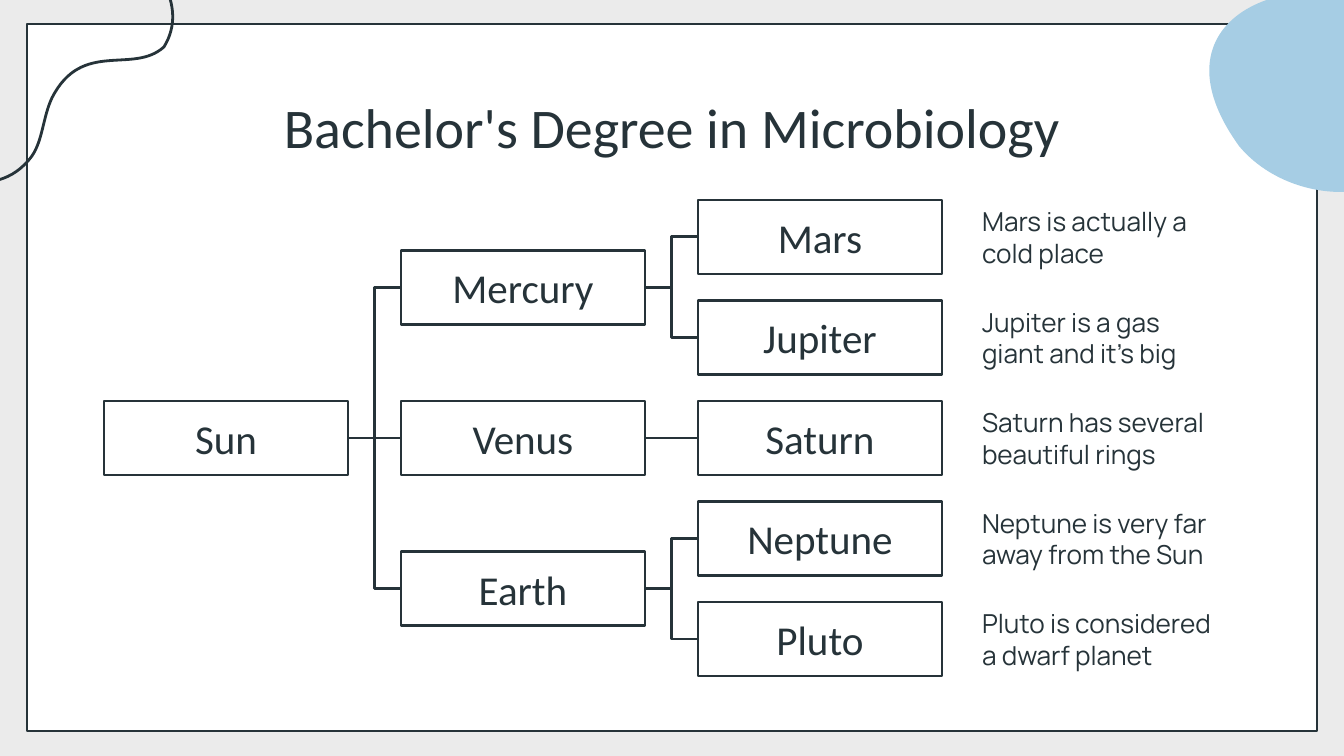
from dataclasses import dataclass

from lxml.etree import SubElement
from pptx import Presentation
from pptx.dml.color import RGBColor
from pptx.enum.shapes import MSO_CONNECTOR, MSO_SHAPE
from pptx.enum.text import MSO_ANCHOR, PP_ALIGN
from pptx.oxml.ns import qn
from pptx.util import Pt


@dataclass(frozen=True)
class Theme:
    ink: RGBColor = RGBColor.from_string("263339")
    paper: RGBColor = RGBColor.from_string("FFFFFF")
    backdrop: RGBColor = RGBColor.from_string("EBEBEB")
    accent: RGBColor = RGBColor.from_string("A6CDE4")
    heading_font: str = "Calibri"
    body_font: str = "Manrope"
    title_size: int = 30
    node_size: int = 22
    note_size: int = 14
    stroke: float = 1.5


THEME = Theme()
EMU_PER_PX = 914400 / 134.4

TITLE = "Bachelor's Degree in Microbiology"
NODES = [
    ("Sun", 0, 2, None),
    ("Mercury", 1, 0.5, "Sun"),
    ("Venus", 1, 2, "Sun"),
    ("Earth", 1, 3.5, "Sun"),
    ("Mars", 2, 0, "Mercury"),
    ("Jupiter", 2, 1, "Mercury"),
    ("Saturn", 2, 2, "Venus"),
    ("Neptune", 2, 3, "Earth"),
    ("Pluto", 2, 4, "Earth"),
]
NOTES = [
    "Mars is actually a cold place",
    "Jupiter is a gas giant and it’s big",
    "Saturn has several beautiful rings",
    "Neptune is very far away from the Sun",
    "Pluto is considered a dwarf planet",
]
BLOB = [
    (1316, -8), (1239, -8), (1167, 46), (1239, 146),
    (1263, 175), (1302, 192), (1341, 192),
    (1364, 192), (1386, 187), (1404, 173),
    (1433, 148), (1442, 105), (1437, 69),
    (1423, 17), (1368, -8), (1316, -8),
]
SQUIGGLE = [
    (-112, 138), (-77, 175), (-5, 207), (32, 156),
    (43, 140), (43, 117), (52, 98),
    (82, 39), (133, 75), (164, 47),
    (190, 5), (153, -42), (120, -65),
    (-44, -191), (-340, -34), (-112, 138),
]

LEFT, TOP = 104, 200
COLUMN_STEP = 297
TREE_DROP, LAST_ROW = 402, 4
NODE_WIDTH, NODE_HEIGHT = 244, 74
NOTE_LEFT, NOTE_WIDTH = 969, 270


def px(value):
    return round(value * EMU_PER_PX)


def row_top(row):
    return TOP + row * TREE_DROP / LAST_ROW


def style(shape, fill=None, outlined=True):
    shape.shadow.inherit = False
    if fill is None:
        shape.fill.background()
    else:
        shape.fill.solid()
        shape.fill.fore_color.rgb = fill
    if outlined:
        shape.line.color.rgb = THEME.ink
        shape.line.width = Pt(THEME.stroke)
    else:
        shape.line.fill.background()


def add_rectangle(page, bounds, fill=None):
    box = page.shapes.add_shape(MSO_SHAPE.RECTANGLE, *map(px, bounds))
    style(box, fill)
    return box


def write(box, text, font, size, align):
    frame = box.text_frame
    frame.word_wrap = True
    frame.vertical_anchor = MSO_ANCHOR.MIDDLE
    frame.margin_left = frame.margin_right = px(13)
    frame.margin_top = frame.margin_bottom = px(13)
    para = frame.paragraphs[0]
    para.alignment = align
    span = para.add_run()
    span.text = text
    span.font.name = font
    span.font.size = Pt(size)
    span.font.color.rgb = THEME.ink


def add_text(page, bounds, text, font, size, align):
    box = page.shapes.add_textbox(*map(px, bounds))
    write(box, text, font, size, align)


def add_curve(page, controls, fill=None, outlined=True):
    start, *rest = [(px(x), px(y)) for x, y in controls]
    builder = page.shapes.build_freeform(*start)
    builder.add_line_segments(rest, close=True)
    shape = builder.convert_to_shape()
    sides = list(shape._element.iter(qn("a:lnTo")))
    for first, second, end in zip(sides[::3], sides[1::3], sides[2::3]):
        curve = first.makeelement(qn("a:cubicBezTo"))
        first.addprevious(curve)
        for side in (first, second, end):
            curve.append(side[0])
            side.getparent().remove(side)
    style(shape, fill, outlined)


def connect(page, parent, child):
    kind = MSO_CONNECTOR.STRAIGHT if parent.top == child.top else MSO_CONNECTOR.ELBOW
    link = page.shapes.add_connector(kind, 0, 0, 0, 0)
    link.begin_connect(parent, 3)
    link.end_connect(child, 1)
    link.line.color.rgb = THEME.ink
    link.line.width = Pt(THEME.stroke)
    SubElement(link._element.spPr, qn("a:effectLst"))


def main():
    deck = Presentation()
    deck.slide_width, deck.slide_height = px(1344), px(756)
    page = deck.slides.add_slide(deck.slide_layouts[6])
    page.background.fill.solid()
    page.background.fill.fore_color.rgb = THEME.backdrop

    add_rectangle(page, (27, 24, 1290, 707), THEME.paper)
    add_curve(page, BLOB, THEME.accent, outlined=False)
    add_curve(page, SQUIGGLE)
    add_text(page, (105, 79, 1134, 94), TITLE,
             THEME.heading_font, THEME.title_size, PP_ALIGN.CENTER)

    boxes = {}
    for name, column, row, parent in NODES:
        bounds = (LEFT + column * COLUMN_STEP, row_top(row), NODE_WIDTH, NODE_HEIGHT)
        boxes[name] = add_rectangle(page, bounds)
        write(boxes[name], name, THEME.heading_font, THEME.node_size, PP_ALIGN.CENTER)
        if parent:
            connect(page, boxes[parent], boxes[name])

    for row, note in enumerate(NOTES):
        add_text(page, (NOTE_LEFT, row_top(row), NOTE_WIDTH, NODE_HEIGHT), note,
                 THEME.body_font, THEME.note_size, PP_ALIGN.LEFT)

    deck.save("out.pptx")


if __name__ == "__main__":
    main()
